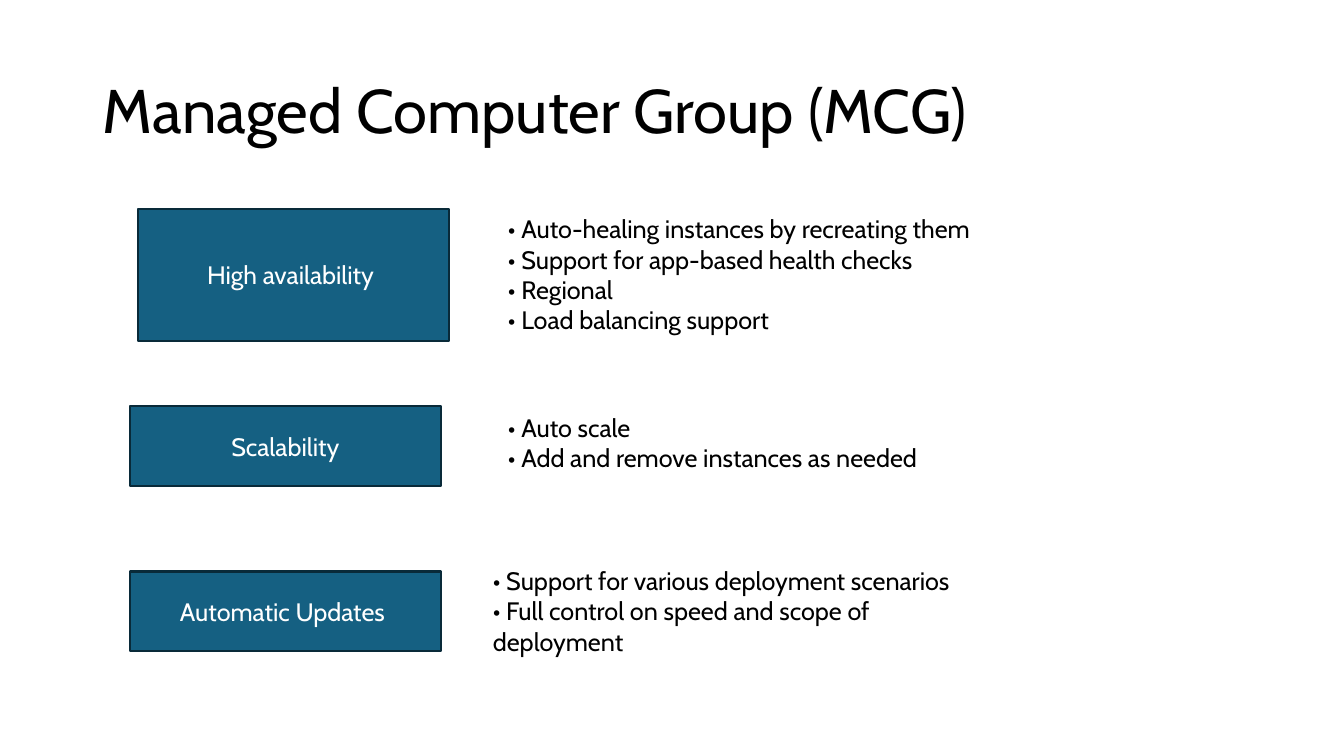
from dataclasses import dataclass

from pptx import Presentation
from pptx.dml.color import RGBColor
from pptx.enum.shapes import MSO_SHAPE
from pptx.enum.text import MSO_ANCHOR, MSO_AUTO_SIZE, PP_ALIGN
from pptx.slide import Slide
from pptx.text.text import TextFrame
from pptx.util import Inches, Pt

RECTANGLE = MSO_SHAPE.RECTANGLE
MIDDLE, TOP = MSO_ANCHOR.MIDDLE, MSO_ANCHOR.TOP
LEFT, CENTER = PP_ALIGN.LEFT, PP_ALIGN.CENTER
NO_AUTOFIT, GROW = MSO_AUTO_SIZE.NONE, MSO_AUTO_SIZE.SHAPE_TO_FIT_TEXT
TITLE_ONLY = 5


@dataclass(frozen=True)
class Theme:
    font: str = "Cabin"
    title_size: int = 44
    body_size: int = 18
    outline_width: float = 1.5
    text: RGBColor = RGBColor(0x00, 0x00, 0x00)
    label: RGBColor = RGBColor(0xFF, 0xFF, 0xFF)
    fill: RGBColor = RGBColor(0x15, 0x60, 0x82)
    outline: RGBColor = RGBColor(0x09, 0x2A, 0x39)


THEME = Theme()
LABEL_WIDTH = 3.08
POINTS_WIDTH = 5.06


@dataclass(frozen=True)
class Box:
    left: float
    top: float
    height: float


@dataclass(frozen=True)
class Feature:
    label: str
    points: tuple[str, ...]
    label_box: Box
    points_box: Box


FEATURES = (
    Feature(
        "High availability ",
        (
            "• Auto-healing instances by recreating them",
            "• Support for app-based health checks",
            "• Regional",
            "• Load balancing support",
        ),
        Box(1.37, 2.07, 1.31),
        Box(4.94, 2.07, 1.31),
    ),
    Feature(
        "Scalability",
        ("• Auto scale", "• Add and remove instances as needed"),
        Box(1.29, 4.03, 0.79),
        Box(4.94, 4.04, 0.71),
    ),
    Feature(
        "Automatic Updates ",
        (
            "• Support for various deployment scenarios",
            "• Full control on speed and scope of deployment",
        ),
        Box(1.29, 5.67, 0.79),
        Box(4.79, 5.56, 1.01),
    ),
)


def write_text(
    frame: TextFrame,
    *lines: str,
    size: int = THEME.body_size,
    color: RGBColor = THEME.text,
    align: PP_ALIGN = LEFT,
    anchor: MSO_ANCHOR = TOP,
    auto_size: MSO_AUTO_SIZE = NO_AUTOFIT,
    line_spacing: float = 1.0,
) -> None:
    """Fill the frame with one formatted paragraph per line."""
    frame.word_wrap = True
    frame.auto_size = auto_size
    frame.vertical_anchor = anchor
    for index, line in enumerate(lines):
        paragraph = frame.add_paragraph() if index else frame.paragraphs[0]
        paragraph.alignment = align
        paragraph.line_spacing = line_spacing
        run = paragraph.add_run()
        run.text = line
        run.font.name = THEME.font
        run.font.size = Pt(size)
        run.font.color.rgb = color


def add_title(slide: Slide, heading: str) -> None:
    title = slide.shapes.title
    title.left, title.top = Inches(0.92), Inches(0.4)
    title.width, title.height = Inches(11.5), Inches(1.45)
    write_text(title.text_frame, heading, size=THEME.title_size,
               anchor=MIDDLE, line_spacing=0.9)


def add_label(slide: Slide, label: str, box: Box) -> None:
    panel = slide.shapes.add_shape(
        RECTANGLE, Inches(box.left), Inches(box.top),
        Inches(LABEL_WIDTH), Inches(box.height))
    panel.shadow.inherit = False
    panel.fill.solid()
    panel.fill.fore_color.rgb = THEME.fill
    panel.line.color.rgb = THEME.outline
    panel.line.width = Pt(THEME.outline_width)
    write_text(panel.text_frame, label, color=THEME.label,
               align=CENTER, anchor=MIDDLE)


def add_points(slide: Slide, points: tuple[str, ...], box: Box) -> None:
    details = slide.shapes.add_textbox(
        Inches(box.left), Inches(box.top),
        Inches(POINTS_WIDTH), Inches(box.height))
    write_text(details.text_frame, *points, auto_size=GROW)


def main() -> None:
    deck = Presentation()
    deck.slide_width, deck.slide_height = Inches(13.33), Inches(7.5)
    slide = deck.slides.add_slide(deck.slide_layouts[TITLE_ONLY])
    add_title(slide, "Managed Computer Group (MCG)")
    for feature in FEATURES:
        add_label(slide, feature.label, feature.label_box)
        add_points(slide, feature.points, feature.points_box)
    deck.save("out.pptx")


if __name__ == "__main__":
    main()
